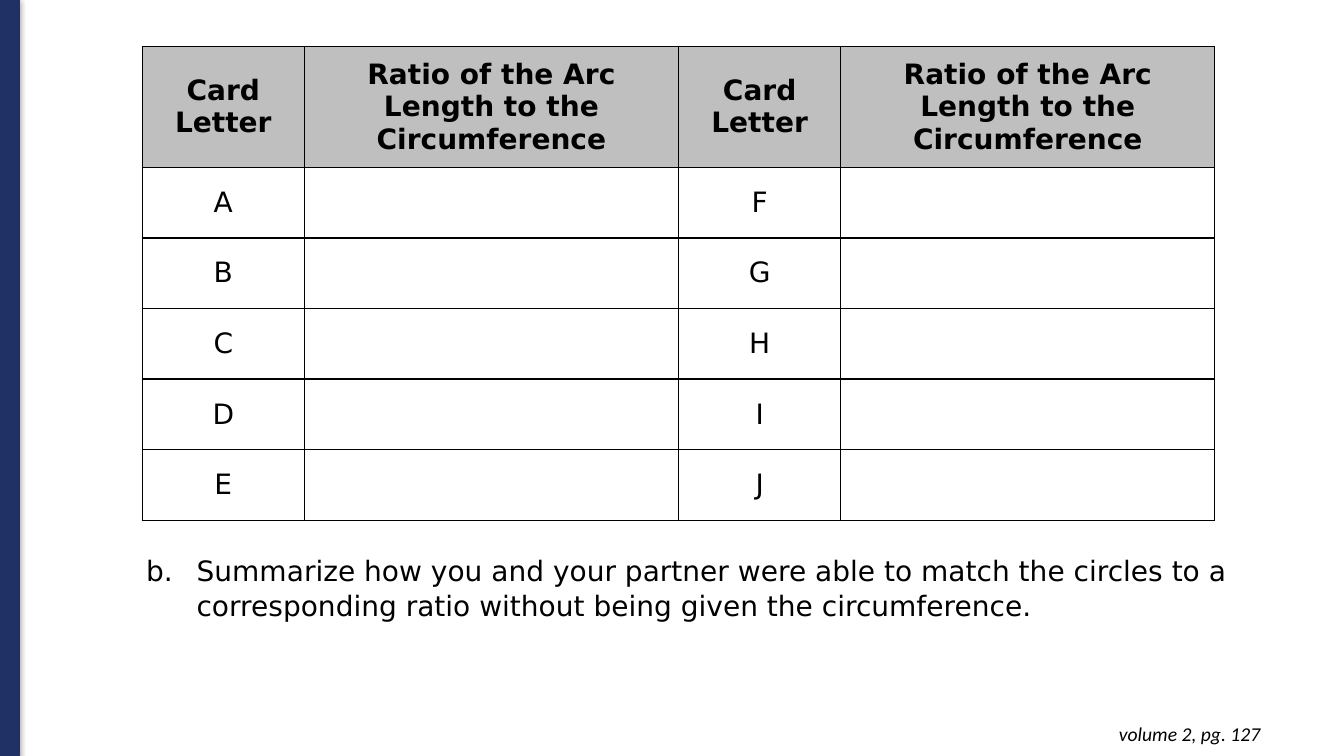
"""Builds the card ratio slide with its table, task and page note."""
from dataclasses import dataclass

import lxml.etree
import pptx
import pptx.dml.color
import pptx.enum.shapes
import pptx.enum.text
import pptx.oxml
import pptx.oxml.ns
import pptx.util

Inches = pptx.util.Inches
Pt = pptx.util.Pt
Align = pptx.enum.text.PP_ALIGN
HUES = {"navy": "1F3165", "ink": "000000", "head": "BFBFBF"}
SANS = "DejaVu Sans"


@dataclass
class Box:
    left: float
    top: float
    width: float
    height: float

    def place(self) -> tuple:
        return tuple(Inches(n) for n in (self.left, self.top, self.width, self.height))


@dataclass
class Style:
    face: str = SANS
    size: int = 20
    bold: bool = False
    slant: bool = False


@dataclass
class Pair:
    first: str
    second: str


HEAD = Pair("Card Letter", "Ratio of the Arc Length to the Circumference")
CARDS = [Pair(a, b) for a, b in zip("ABCDE", "FGHIJ")]
WIDTHS = (1.61, 3.71) * 2
TALL, SHORT = 1.19, 0.7


def tint(name: str) -> pptx.dml.color.RGBColor:
    return pptx.dml.color.RGBColor.from_string(HUES[name])


def attach(parent, xml: str) -> None:
    space = pptx.oxml.ns.nsdecls("a")
    parent.append(pptx.oxml.parse_xml(xml.replace(" ", f" {space} ", 1)))


def write(para, text: str, style: Style) -> None:
    run = para.add_run()
    run.text = text
    font = run.font
    font.name, font.size = style.face, Pt(style.size)
    font.bold, font.italic = style.bold, style.slant
    font.color.rgb = tint("ink")


def draw_bar(slide, box: Box) -> None:
    bar = slide.shapes.add_shape(pptx.enum.shapes.MSO_SHAPE.RECTANGLE, *box.place())
    bar.fill.solid()
    bar.fill.fore_color.rgb = tint("navy")
    bar.line.color.rgb = tint("navy")
    bar.line.width = Pt(0.75)
    attach(bar._element.spPr, f'<a:effectLst ><a:outerShdw blurRad="{Pt(4.5)}" dist="{Pt(1.5)}" '
           f'dir="5400000" rotWithShape="0"><a:srgbClr val="{HUES["ink"]}">'
           '<a:alpha val="50000"/></a:srgbClr></a:outerShdw></a:effectLst>')


def draw_note(slide, box: Box, text: str) -> None:
    frame = slide.shapes.add_textbox(*box.place()).text_frame
    frame.word_wrap = True
    frame.margin_top = frame.margin_bottom = Inches(0.1)
    para = frame.paragraphs[0]
    para.alignment = Align.RIGHT
    write(para, text, Style("Calibri", 14, slant=True))


def draw_task(slide, box: Box, text: str) -> None:
    body = slide.placeholders[1]
    body.left, body.top, body.width, body.height = box.place()
    frame = body.text_frame
    frame.word_wrap = True
    frame.auto_size = pptx.enum.text.MSO_AUTO_SIZE.NONE
    para = frame.paragraphs[0]
    props = para._p.get_or_add_pPr()
    props.set("marL", str(Inches(1)))
    props.set("indent", str(Inches(-0.5)))
    attach(props, f'<a:buClr ><a:srgbClr val="{HUES["ink"]}"/></a:buClr>')
    attach(props, f'<a:buFont typeface="{SANS}"/>')
    attach(props, '<a:buAutoNum type="alphaLcPeriod" startAt="2"/>')
    para.alignment = Align.LEFT
    para.space_before = Pt(0)
    para.line_spacing = 1.05
    write(para, text, Style())


def fill_cell(cell, text: str, head: bool) -> None:
    cell.vertical_anchor = pptx.enum.text.MSO_ANCHOR.MIDDLE
    cell.margin_left = cell.margin_right = Inches(0.1)
    cell.margin_top = cell.margin_bottom = Inches(0.1)
    for side in "LRTB":
        attach(cell._tc.get_or_add_tcPr(), f'<a:ln{side} w="{Pt(1)}"><a:solidFill>'
               f'<a:srgbClr val="{HUES["ink"]}"/></a:solidFill></a:ln{side}>')
    if head:
        cell.fill.solid()
        cell.fill.fore_color.rgb = tint("head")
    else:
        cell.fill.background()
    if text:
        para = cell.text_frame.paragraphs[0]
        para.alignment = Align.CENTER
        write(para, text, Style(bold=head))


def draw_grid(slide, left: float, top: float) -> None:
    rows = [(HEAD.first, HEAD.second) * 2]
    rows += [(pair.first, "", pair.second, "") for pair in CARDS]
    box = Box(left, top, sum(WIDTHS), TALL + SHORT * len(CARDS))
    grid = slide.shapes.add_table(len(rows), len(WIDTHS), *box.place()).table
    grid.first_row = grid.horz_banding = False
    for col, width in zip(grid.columns, WIDTHS):
        col.width = Inches(width)
    for r, texts in enumerate(rows):
        grid.rows[r].height = Inches(SHORT if r else TALL)
        for c, text in enumerate(texts):
            fill_cell(grid.cell(r, c), text, r == 0)


def main() -> None:
    deck = pptx.Presentation()
    deck.slide_width, deck.slide_height = Inches(13.33), Inches(7.5)
    slide = deck.slides.add_slide(deck.slide_layouts[1])
    title = slide.shapes.title._element
    title.getparent().remove(title)
    draw_bar(slide, Box(-0.05, -0.01, 0.24, 7.51))
    draw_note(slide, Box(9.72, 7.06, 2.88, 0.44), "volume 2, pg. 127")
    draw_task(slide, Box(0.85, 5.42, 11.75, 0.77),
              "Summarize how you and your partner were able to match the circles "
              "to a corresponding ratio without being given the circumference.")
    draw_grid(slide, 1.41, 0.46)
    deck.save("out.pptx")


if __name__ == "__main__":
    main()
